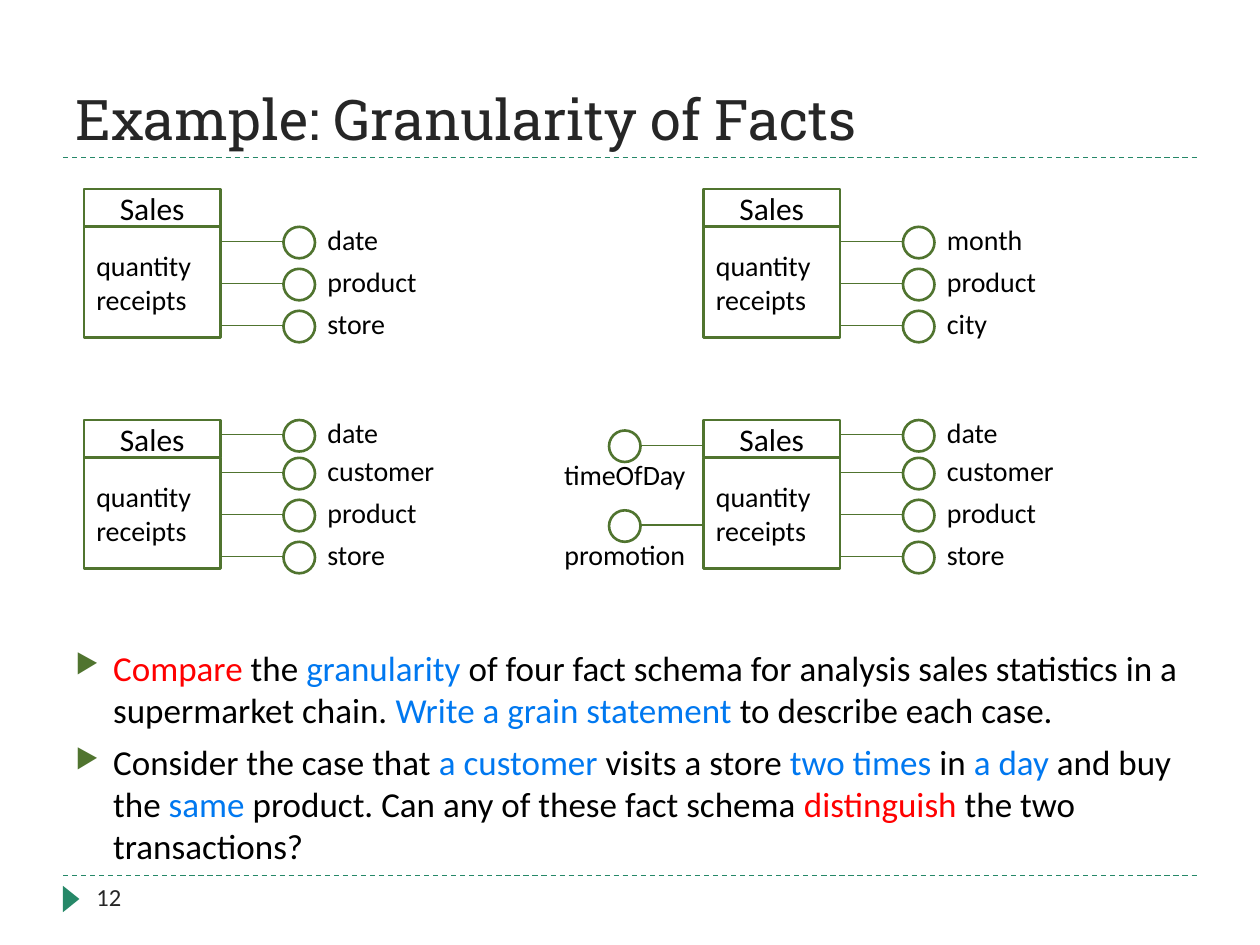
"""Build the slide on granularity of facts with four fact schemas."""
import pptx
import pptx.dml.color
import pptx.enum.dml
import pptx.enum.shapes
import pptx.enum.text
import pptx.oxml
import pptx.oxml.ns
import pptx.util

Pt = pptx.util.Pt
RGBColor = pptx.dml.color.RGBColor
SHAPE = pptx.enum.shapes.MSO_SHAPE
ALIGN = pptx.enum.text.PP_ALIGN
ANCHOR = pptx.enum.text.MSO_ANCHOR

BLACK = RGBColor(0x00, 0x00, 0x00)
WHITE = RGBColor(0xFF, 0xFF, 0xFF)
DARK = RGBColor(0x26, 0x26, 0x26)
RED = RGBColor(0xFF, 0x00, 0x00)
BLUE = RGBColor(0x00, 0x78, 0xF0)
GREEN = RGBColor(0x50, 0x74, 0x2F)
TEAL = RGBColor(0x26, 0x88, 0x68)

TITLE = "Example: Granularity of Facts"
PAGE_NUMBER = "12"
FACT = "Sales"
MEASURES = ["quantity", "receipts"]
SCHEMAS = [
    {"at": (48, 108), "right": ["date", "product", "store"], "left": []},
    {"at": (402, 108), "right": ["month", "product", "city"], "left": []},
    {"at": (48, 240), "right": ["date", "customer", "product", "store"], "left": []},
    {"at": (402, 240), "right": ["date", "customer", "product", "store"],
     "left": ["timeOfDay", "promotion"]},
]
QUESTIONS = [
    [("Compare", RED), (" the ", BLACK), ("granularity", BLUE),
     (" of four fact schema for analysis sales statistics in a supermarket chain. ", BLACK),
     ("Write a grain statement ", BLUE), ("to describe each case.", BLACK)],
    [("Consider the case that ", BLACK), ("a customer ", BLUE), ("visits a store ", BLACK),
     ("two times ", BLUE), ("in ", BLACK), ("a day ", BLUE), ("and buy the ", BLACK),
     ("same", BLUE), (" product. Can any of these fact schema ", BLACK),
     ("distinguish", RED), (" the two transactions?", BLACK)],
]

BOX_WIDTH, HEAD_HEIGHT, BODY_HEIGHT = 78, 21.6, 63.4
CIRCLE, STEM = 18, 36
RIGHT_OFFSETS = [0, 21.6, 45.6, 69.6]
LEFT_OFFSETS = [6, 51.6]

deck = pptx.Presentation()
deck.slide_width, deck.slide_height = Pt(720), Pt(540)
page = deck.slides.add_slide(deck.slide_layouts[6])


def write(box, paragraphs, size=16, font="Calibri", color=BLACK, align=ALIGN.LEFT,
          anchor=ANCHOR.TOP, bullet=False):
    """Fill a box with paragraphs, each a string or a list of (text, colour) spans."""
    frame = box.text_frame
    frame.word_wrap = True
    frame.vertical_anchor = anchor
    for index, content in enumerate(paragraphs):
        para = frame.paragraphs[0] if index == 0 else frame.add_paragraph()
        para.alignment = align
        spans = [(content, color)] if isinstance(content, str) else content
        for text, span_color in spans:
            span = para.add_run()
            span.text = text
            span.font.size, span.font.name = Pt(size), font
            span.font.color.rgb = span_color
        if bullet:
            para.space_before = Pt(6)
            add_bullet(para)


def add_bullet(para):
    """Give a paragraph a hanging green triangle bullet."""
    props = para._p.get_or_add_pPr()
    props.set("marL", str(Pt(21.6)))
    props.set("indent", str(-Pt(21.6)))
    space = pptx.oxml.ns.nsdecls("a")
    for xml in (f'<a:buClr {space}><a:srgbClr val="{GREEN}"/></a:buClr>',
                f'<a:buSzPct {space} val="76000"/>',
                f'<a:buChar {space} char="&#9654;"/>'):
        props.append(pptx.oxml.parse_xml(xml))


def add_text(left, top, width, height, paragraphs, **style):
    """Add a text box."""
    box = page.shapes.add_textbox(Pt(left), Pt(top), Pt(width), Pt(height))
    write(box, paragraphs, **style)


def add_figure(kind, left, top, width, height, fill=WHITE, line=GREEN):
    """Add a flat preset shape."""
    figure = page.shapes.add_shape(kind, Pt(left), Pt(top), Pt(width), Pt(height))
    figure.shadow.inherit = False
    figure.fill.solid()
    figure.fill.fore_color.rgb = fill
    if line is None:
        figure.line.fill.background()
    else:
        figure.line.color.rgb = line
        figure.line.width = Pt(1.5)
    return figure


def add_rule(left, right, y, color=GREEN, dash=None):
    """Add a thin horizontal line."""
    rule = page.shapes.add_connector(
        pptx.enum.shapes.MSO_CONNECTOR.STRAIGHT, Pt(left), Pt(y), Pt(right), Pt(y))
    rule.line.color.rgb = color
    rule.line.width = Pt(0.75)
    if dash is not None:
        rule.line.dash_style = dash
    rule._element.spPr.append(
        pptx.oxml.parse_xml(f'<a:effectLst {pptx.oxml.ns.nsdecls("a")}/>'))


def add_dimension(circle_left, top, stem_left):
    """Add a circle and the stem that ties it to its fact box."""
    add_figure(SHAPE.OVAL, circle_left, top, CIRCLE, CIRCLE)
    add_rule(stem_left, stem_left + STEM, top + 8.4)


def add_schema(at, right, left):
    """Add a fact box with its dimensions on either side."""
    x, y = at
    head = add_figure(SHAPE.RECTANGLE, x, y, BOX_WIDTH, HEAD_HEIGHT)
    write(head, [FACT], size=18, align=ALIGN.CENTER, anchor=ANCHOR.MIDDLE)
    body = add_figure(SHAPE.RECTANGLE, x, y + HEAD_HEIGHT, BOX_WIDTH, BODY_HEIGHT)
    write(body, MEASURES, anchor=ANCHOR.MIDDLE)
    edge = x + BOX_WIDTH
    for name, offset in zip(right, RIGHT_OFFSETS[-len(right):]):
        add_dimension(edge + STEM, y + offset, edge)
        add_text(edge + STEM + CIRCLE, y + offset - 6, 90, 26.6, [name])
    for name, offset in zip(left, LEFT_OFFSETS):
        add_dimension(x - STEM - CIRCLE, y + offset, x - STEM)
        add_text(x - 90, y + offset + 11.8, 90, 26.6, [name], align=ALIGN.CENTER)


for rule_y in (500.4, 90):
    add_rule(36, 684, rule_y, color=TEAL, dash=pptx.enum.dml.MSO_LINE.DASH)
marker = add_figure(SHAPE.ISOSCELES_TRIANGLE, 33.1, 509, 15.1, 9.4, fill=TEAL, line=None)
marker.rotation = 90
add_text(36, 12.2, 648, 77.8, [TITLE], size=32, font="Roboto Slab", color=DARK,
         anchor=ANCHOR.BOTTOM)
add_text(48, 500.4, 156, 28.8, [PAGE_NUMBER], size=14, color=DARK)
add_text(36, 365.8, 648, 118.8, QUESTIONS, size=20, bullet=True)
for schema in SCHEMAS:
    add_schema(**schema)

deck.save("out.pptx")
